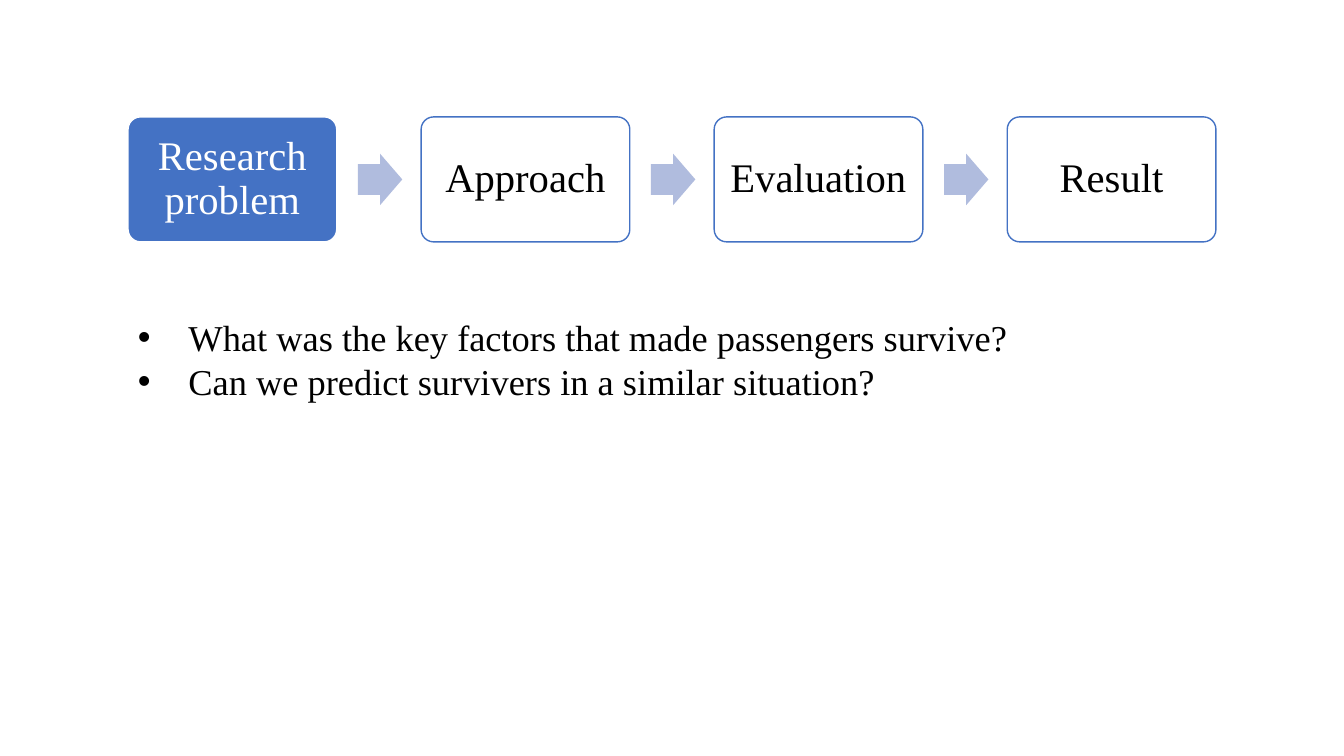
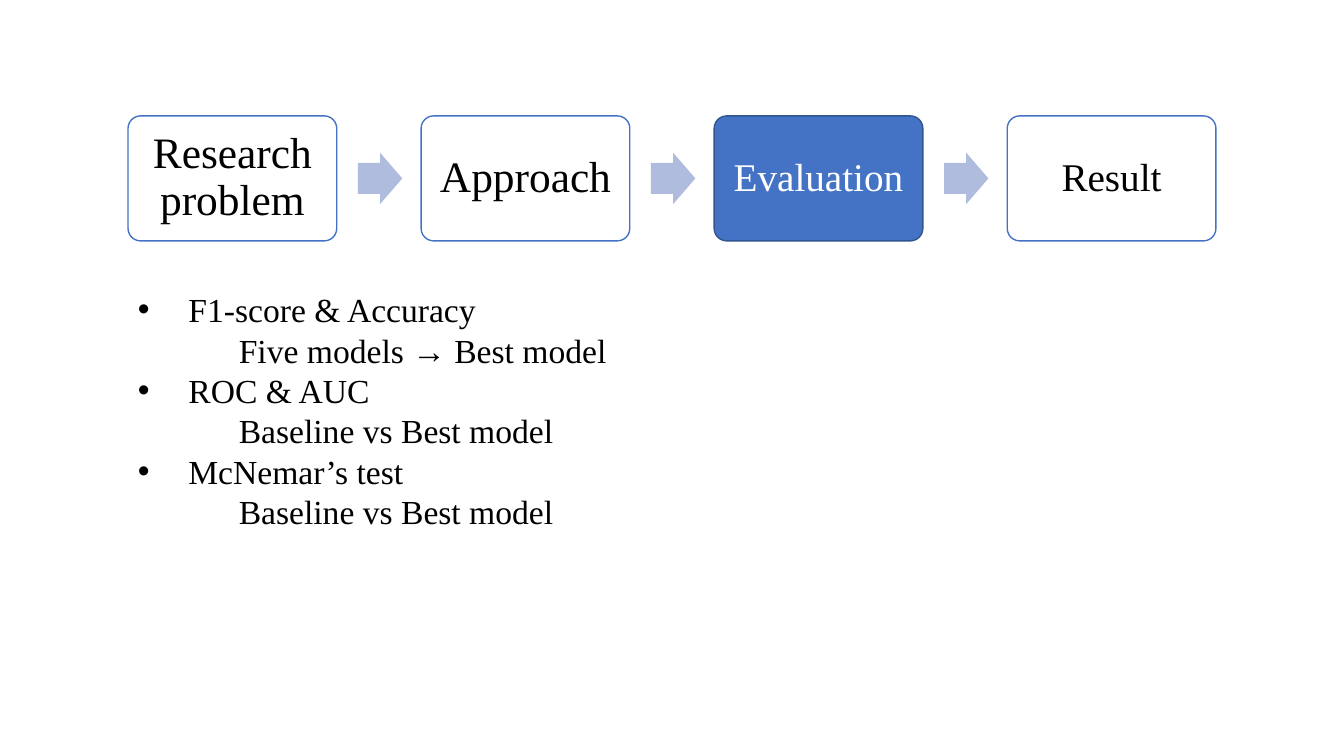
from dataclasses import dataclass

from lxml import etree
from pptx import Presentation
from pptx import util as u
from pptx.dml.color import RGBColor
from pptx.enum import shapes, text
from pptx.oxml import ns

FONT = "Times New Roman"
BLUE = RGBColor(0x44, 0x72, 0xC4)
DARK_BLUE = RGBColor(0x32, 0x54, 0x91)
PALE_BLUE = RGBColor(0xB0, 0xBC, 0xDE)
WHITE = RGBColor(0xFF, 0xFF, 0xFF)
BLACK = RGBColor(0x00, 0x00, 0x00)

# Page grid, in inches
SLIDE_WIDTH, SLIDE_HEIGHT = 13.33, 7.5
MARGIN, CONTENT_WIDTH = 1.27, 10.79
STEPS = ("Research problem", "Approach", "Evaluation", "Result")
STEP_WIDTH, STEP_HEIGHT = 2.07, 1.24
STEP_PITCH = (CONTENT_WIDTH - STEP_WIDTH) / (len(STEPS) - 1)
STEP_INSET = 0.12
ARROW_OFFSET, ARROW_WIDTH, ARROW_HEIGHT = 2.28, 0.44, 0.51
INDENT = 0.5


@dataclass(frozen=True)
class Line:
    text: str
    level: int = 0


@dataclass(frozen=True)
class Page:
    active_step: str
    active_outline: RGBColor
    steps_top: float
    step_sizes: tuple[int, ...]
    body_top: float
    body_height: float
    body_size: int
    lines: tuple[Line, ...]


PAGES = (
    Page("Research problem", WHITE, 1.16, (29, 29, 29, 29), 3.08, 0.98, 26, (
        Line("What was the key factors that made passengers survive?"),
        Line("Can we predict survivers in a similar situation?"),
    )),
    Page("Evaluation", DARK_BLUE, 1.15, (31, 31, 28, 28), 2.82, 2.52, 24, (
        Line("F1-score & Accuracy"),
        Line("Five models → Best model", 1),
        Line("ROC & AUC"),
        Line("Baseline vs Best model", 1),
        Line("McNemar’s test"),
        Line("Baseline vs Best model", 1),
    )),
)


def format_runs(paragraph, size: int, color: RGBColor) -> None:
    for run in paragraph.runs:
        run.font.name = FONT
        run.font.size = u.Pt(size)
        run.font.color.rgb = color


def add_flat_shape(slide, kind, left: float, top: float, width: float, height: float, fill: RGBColor):
    """Add a preset shape without shadow or outline."""
    shape = slide.shapes.add_shape(kind, *map(u.Inches, (left, top, width, height)))
    shape.shadow.inherit = False
    shape.fill.solid()
    shape.fill.fore_color.rgb = fill
    shape.line.fill.background()
    return shape


def add_step(slide, label: str, left: float, top: float, size: int,
             fill: RGBColor, outline: RGBColor, color: RGBColor) -> None:
    shape = add_flat_shape(slide, shapes.MSO_SHAPE.ROUNDED_RECTANGLE,
                           left, top, STEP_WIDTH, STEP_HEIGHT, fill)
    shape.adjustments[0] = 0.1
    shape.line.color.rgb = outline
    shape.line.width = u.Pt(1)
    frame = shape.text_frame
    frame.word_wrap = True
    frame.vertical_anchor = text.MSO_ANCHOR.MIDDLE
    frame.margin_left = frame.margin_right = u.Inches(STEP_INSET)
    frame.margin_top = frame.margin_bottom = u.Inches(STEP_INSET)
    frame.text = label
    paragraph = frame.paragraphs[0]
    paragraph.alignment = text.PP_ALIGN.CENTER
    paragraph.line_spacing = 0.9
    format_runs(paragraph, size, color)


def add_process(slide, page: Page) -> None:
    """Draw the row of steps, with an arrow between neighbours."""
    for column, (label, size) in enumerate(zip(STEPS, page.step_sizes)):
        left = MARGIN + column * STEP_PITCH
        if label == page.active_step:
            colors = (BLUE, page.active_outline, WHITE)
        else:
            colors = (WHITE, BLUE, BLACK)
        add_step(slide, label, left, page.steps_top, size, *colors)
        if column < len(STEPS) - 1:
            arrow_top = page.steps_top + (STEP_HEIGHT - ARROW_HEIGHT) / 2
            arrow = add_flat_shape(slide, shapes.MSO_SHAPE.RIGHT_ARROW, left + ARROW_OFFSET,
                                   arrow_top, ARROW_WIDTH, ARROW_HEIGHT, PALE_BLUE)
            arrow.adjustments[0] = 0.6
            arrow.adjustments[1] = 0.5


def set_indent(paragraph, level: int) -> None:
    """Give top-level lines a hanging bullet and indent the others."""
    properties = paragraph._p.get_or_add_pPr()
    properties.set("marL", str(u.Inches(INDENT * (level + 1))))
    if level == 0:
        properties.set("indent", str(-u.Inches(INDENT)))
        etree.SubElement(properties, ns.qn("a:buFont"), typeface="Arial")
        etree.SubElement(properties, ns.qn("a:buChar"), char="•")


def add_body(slide, page: Page) -> None:
    box = slide.shapes.add_textbox(*map(u.Inches, (MARGIN, page.body_top, CONTENT_WIDTH, page.body_height)))
    frame = box.text_frame
    frame.word_wrap = True
    frame.auto_size = text.MSO_AUTO_SIZE.SHAPE_TO_FIT_TEXT
    frame.text = "\n".join(line.text for line in page.lines)
    for paragraph, line in zip(frame.paragraphs, page.lines):
        set_indent(paragraph, line.level)
        format_runs(paragraph, page.body_size, BLACK)


def main() -> None:
    presentation = Presentation()
    presentation.slide_width = u.Inches(SLIDE_WIDTH)
    presentation.slide_height = u.Inches(SLIDE_HEIGHT)
    blank_layout = presentation.slide_layouts[6]
    for page in PAGES:
        slide = presentation.slides.add_slide(blank_layout)
        add_process(slide, page)
        add_body(slide, page)
    presentation.save("out.pptx")


if __name__ == "__main__":
    main()
